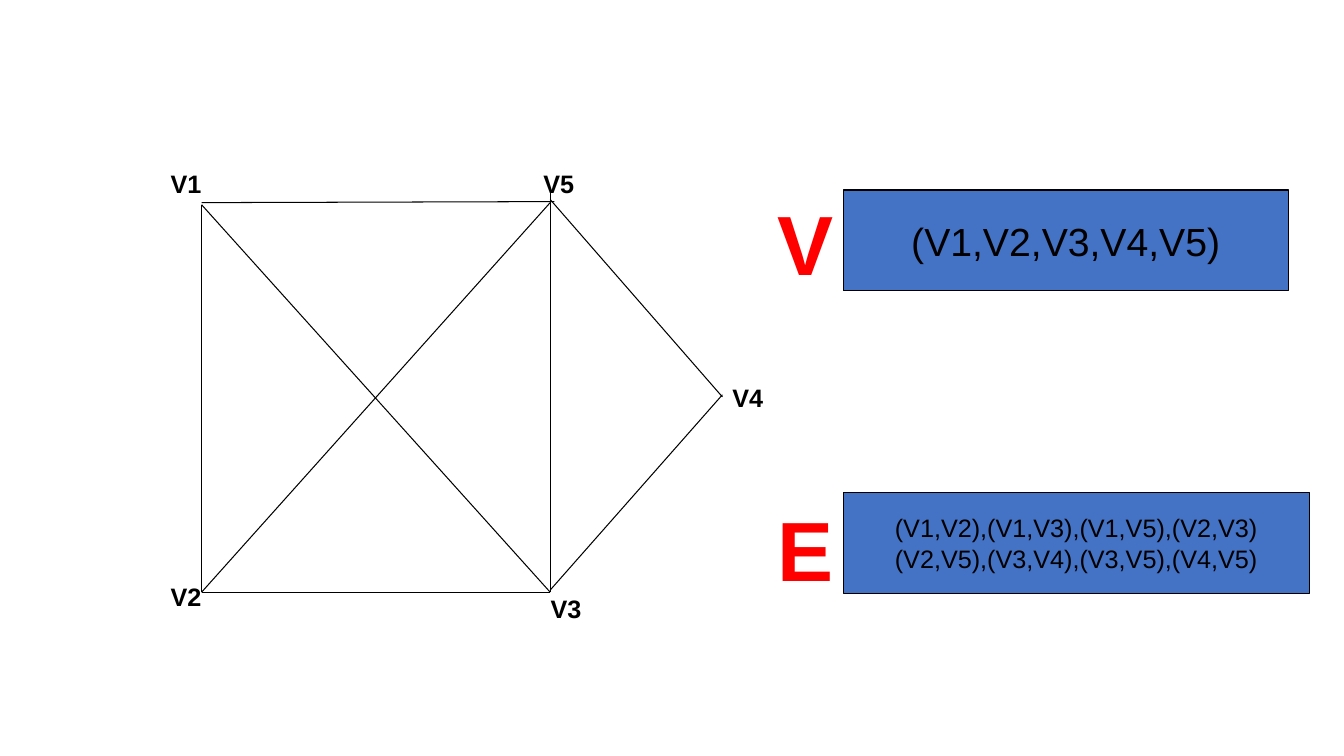
from lxml.etree import SubElement
from pptx import Presentation
from pptx.dml.color import RGBColor
from pptx.enum.shapes import MSO_CONNECTOR, MSO_SHAPE
from pptx.enum.text import MSO_ANCHOR, MSO_AUTO_SIZE, PP_ALIGN
from pptx.oxml.ns import qn
from pptx.util import Pt

PX = 9525
COLORS = {"ink": "000000", "symbol": "FF0000", "box": "4472C4"}

EDGES = [
    (192, 195, 192, 564),
    (192, 193, 528, 192),
    (192, 564, 524, 564),
    (524, 181, 524, 564),
    (192, 195, 524, 564),
    (192, 564, 524, 193),
    (524, 190, 688, 378),
    (688, 376, 524, 562),
]
VERTEX_LABELS = [
    ("V1", 153, 156),
    ("V5", 508, 156),
    ("V2", 153, 549),
    ("V3", 515, 560),
    ("V4", 688, 359),
]
SETS = [
    ("V", 178, 181, 424, 28, ["(V1,V2,V3,V4,V5)"]),
    ("E", 469, 469, 444, 18, ["(V1,V2),(V1,V3),(V1,V5),(V2,V3)",
                              "(V2,V5),(V3,V4),(V3,V5),(V4,V5)"]),
]


def emu(*lengths):
    return [n * PX for n in lengths]


def rgb(name):
    return RGBColor.from_string(COLORS[name])


def style_line(line):
    line.color.rgb = rgb("ink")
    line.width = Pt(0.75)


def style_text(p, size, color, bold=False):
    p.font.name = "Arial"
    p.font.size = Pt(size)
    p.font.bold = bold
    p.font.color.rgb = rgb(color)


def add_edge(s, *ends):
    sp = s.shapes.add_connector(MSO_CONNECTOR.STRAIGHT, *emu(*ends))
    style_line(sp.line)
    SubElement(sp._element.spPr, qn("a:effectLst"))


def add_label(s, text, x, y, w, h, size, color):
    tf = s.shapes.add_textbox(*emu(x, y, w, h)).text_frame
    tf.word_wrap = True
    tf.auto_size = MSO_AUTO_SIZE.SHAPE_TO_FIT_TEXT
    p = tf.paragraphs[0]
    p.text = text
    style_text(p, size, color, bold=True)


def add_box(s, lines, x, y, w, h, size):
    sp = s.shapes.add_shape(MSO_SHAPE.RECTANGLE, *emu(x, y, w, h))
    sp.shadow.inherit = False
    sp.fill.solid()
    sp.fill.fore_color.rgb = rgb("box")
    style_line(sp.line)
    tf = sp.text_frame
    tf.word_wrap = False
    tf.vertical_anchor = MSO_ANCHOR.MIDDLE
    tf.text = "\n".join(lines)
    for p in tf.paragraphs:
        p.alignment = PP_ALIGN.CENTER
        style_text(p, size, "ink")


def main():
    prs = Presentation()
    prs.slide_width, prs.slide_height = emu(1280, 720)
    s = prs.slides.add_slide(prs.slide_layouts[6])
    for edge in EDGES:
        add_edge(s, *edge)
    for name, x, y in VERTEX_LABELS:
        add_label(s, name, x, y, 56, 38, 18, "ink")
    for symbol, symbol_y, box_y, box_w, size, lines in SETS:
        add_box(s, lines, 803, box_y, box_w, 96, size)
        add_label(s, symbol, 731, symbol_y, 40, 107, 60, "symbol")
    prs.save("out.pptx")


if __name__ == "__main__":
    main()
